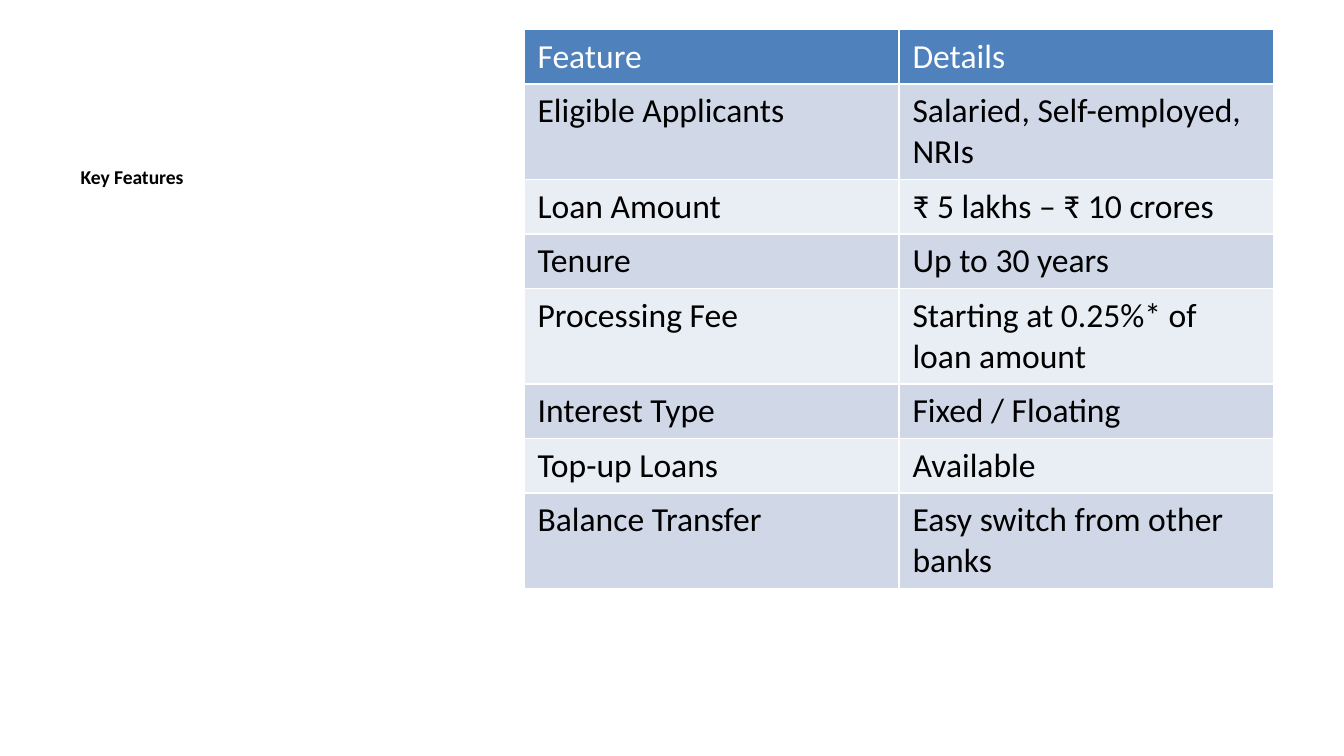
"""Build the key features slide with a loan feature table."""
from dataclasses import dataclass

from lxml.etree import SubElement
from pptx import Presentation
from pptx.dml.color import RGBColor as Rgb
from pptx.enum.text import MSO_ANCHOR as Anchor, MSO_AUTO_SIZE as Fit, PP_ALIGN as Align
from pptx.oxml.ns import qn
from pptx.util import Inches, Pt

HUES = {"head": "4F81BD", "odd": "D0D8E8", "even": "E9EDF4", "ink": "000000", "white": "FFFFFF"}
FACE = "Calibri"


@dataclass
class Row:
    name: str
    note: str
    lines: int = 1


ROWS = [
    Row("Feature", "Details"),
    Row("Eligible Applicants", "Salaried, Self-employed, NRIs", 2),
    Row("Loan Amount", "₹ 5 lakhs – ₹ 10 crores"),
    Row("Tenure", "Up to 30 years"),
    Row("Processing Fee", "Starting at 0.25%* of loan amount", 2),
    Row("Interest Type", "Fixed / Floating"),
    Row("Top-up Loans", "Available"),
    Row("Balance Transfer", "Easy switch from other banks", 2),
]


def style(frame, size: float, hue: str, bold: bool = False) -> None:
    for run in frame.paragraphs[0].runs:
        font = run.font
        font.name, font.size, font.bold = FACE, Pt(size), bold
        font.color.rgb = Rgb.from_string(HUES[hue])


def edge(cell) -> None:
    props = cell._tc.get_or_add_tcPr()
    for side in "LRTB":
        line = SubElement(props, qn(f"a:ln{side}"), w=str(Pt(1)))
        fill = SubElement(line, qn("a:solidFill"))
        SubElement(fill, qn("a:srgbClr"), val=HUES["white"])


def draw_cell(cell, text: str, row: int) -> None:
    head = row == 0
    edge(cell)
    cell.fill.solid()
    hue = "head" if head else "odd" if row % 2 else "even"
    cell.fill.fore_color.rgb = Rgb.from_string(HUES[hue])
    cell.text_frame.text = text
    style(cell.text_frame, 18, "white" if head else "ink")


def draw_table(slide, rows: list[Row]) -> None:
    highs = [Inches(0.1) + Pt(22) * row.lines for row in rows]
    table = slide.shapes.add_table(
        len(rows), 2, Inches(3.9), Inches(0.22), Inches(5.58), sum(highs)
    ).table
    for i, row in enumerate(rows):
        table.rows[i].height = highs[i]
        for j, text in enumerate((row.name, row.note)):
            draw_cell(table.cell(i, j), text, i)


def draw_title(slide, text: str) -> None:
    title = slide.shapes.title
    title.left, title.top = Inches(0.5), Inches(1.18)
    title.width, title.height = Inches(3.29), Inches(3.85)
    frame = title.text_frame
    frame.text = text
    frame.auto_size = Fit.NONE
    frame.vertical_anchor = Anchor.TOP
    frame.paragraphs[0].alignment = Align.LEFT
    style(frame, 10.5, "ink", True)


def main() -> None:
    deck = Presentation()
    deck.slide_width = Inches(10)
    deck.slide_height = deck.slide_width * 9 // 16
    slide = deck.slides.add_slide(deck.slide_layouts[5])
    draw_title(slide, "Key Features")
    draw_table(slide, ROWS)
    deck.save("out.pptx")


if __name__ == "__main__":
    main()
